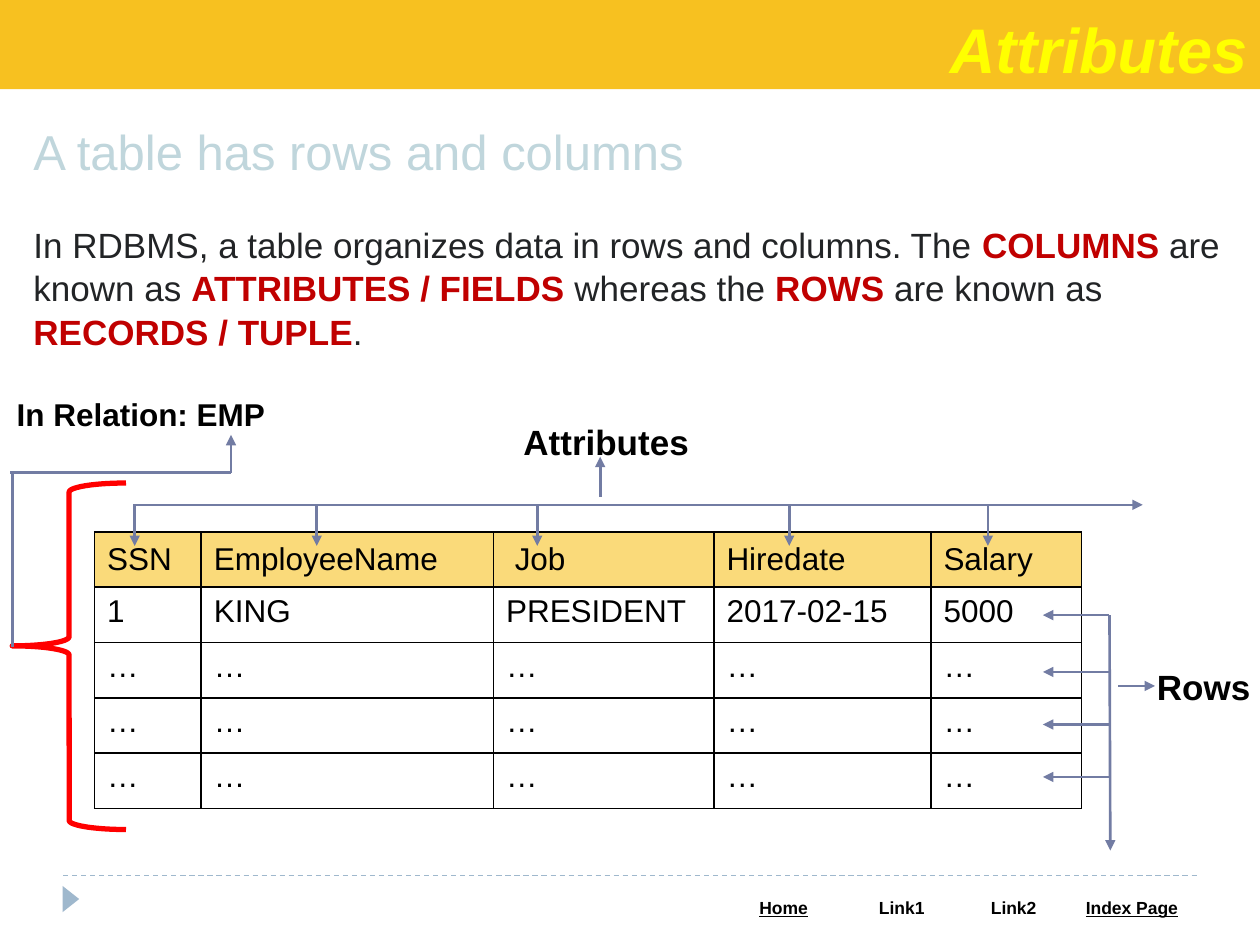
from pptx import Presentation
from pptx.util import Pt
from pptx.dml.color import RGBColor
from pptx.enum.dml import MSO_LINE
from pptx.enum.shapes import MSO_CONNECTOR, MSO_SHAPE
from pptx.enum.text import MSO_ANCHOR, PP_ALIGN
from pptx.oxml.ns import qn
from lxml.etree import SubElement


def tint(code):
    return RGBColor.from_string(code)


def style(font, code, **vals):
    font.color.rgb = tint(code)
    for key, val in {"name": "Arial", **vals}.items():
        setattr(font, key, val)


deck = Presentation()
deck.slide_width, deck.slide_height = Pt(720), Pt(540)
slide = deck.slides.add_slide(deck.slide_layouts[5])
shapes = slide.shapes

# Banner, footer marker and brace
forms = [
    (MSO_SHAPE.RECTANGLE, (0, 0, 720, 51), "F7C120", None),
    (MSO_SHAPE.ISOSCELES_TRIANGLE, (33, 509, 15, 9.5), "9FB8CD", None),
    (MSO_SHAPE.LEFT_BRACE, (7, 276, 65, 198), None, "FF0000"),
]
made = []
for kind, box, fill, line in forms:
    form = shapes.add_shape(kind, *map(Pt, box))
    form.shadow.inherit = False
    if fill:
        form.fill.solid()
        form.fill.fore_color.rgb = tint(fill)
    else:
        form.fill.background()
    if line:
        form.line.color.rgb = tint(line)
        form.line.width = Pt(3)
    else:
        form.line.fill.background()
    made.append(form)
banner, marker, brace = made
marker.rotation = 90
brace.adjustments[0], brace.adjustments[1] = 0.08, 0.47

# Title, moved in front of the banner
title = shapes.title
banner.element.addnext(title.element)
title.left, title.top, title.width, title.height = map(Pt, (0, 2, 720, 51))
title.text_frame.text = "Attributes"
title.text_frame.vertical_anchor = MSO_ANCHOR.MIDDLE
head = title.text_frame.paragraphs[0]
head.alignment = PP_ALIGN.RIGHT
style(head.font, "FFFF00", size=Pt(36), bold=True, italic=True)

# Text boxes: place, size, wrap, runs of (text, colour, bold)
dark, red, black = "222426", "C00000", "000000"
notes = [
    ((12, 66, 696, 41), 28, True, [("A table has rows and columns", "C0D6DC", False)]),
    ((12, 123, 696, 80), 20, True, [
        ("In RDBMS, a table organizes data in rows and columns. The ", dark, False),
        ("COLUMNS ", red, True), ("are known as ", dark, False),
        ("ATTRIBUTES / FIELDS ", red, True), ("whereas the ", dark, False),
        ("ROWS ", red, True), ("are known as ", dark, False),
        ("RECORDS / TUPLE", red, True), (".", dark, False)]),
    ((292, 237, 110, 32), 20, False, [("Attributes", black, True)]),
    ((654, 377, 68, 32), 20, True, [("Rows", black, True)]),
    ((2.5, 222, 158, 29), 18, False, [("In Relation: EMP", black, True)]),
]
for box, size, wrap, runs in notes:
    frame = shapes.add_textbox(*map(Pt, box)).text_frame
    frame.word_wrap = wrap
    para = frame.paragraphs[0]
    if len(runs) > 1:
        para.line_spacing = 1.04
    for text, code, bold in runs:
        run = para.add_run()
        run.text = text
        style(run.font, code, size=Pt(size), bold=bold)

# Employee table
rows = [["SSN", "EmployeeName", " Job", "Hiredate", "Salary"],
        ["1", "KING", "PRESIDENT", "2017-02-15", "5000"]] + [["…"] * 5] * 3
grid = shapes.add_table(5, 5, Pt(54), Pt(304), Pt(564), Pt(158)).table
for col, wide in zip(grid.columns, (61, 167, 126, 124, 86)):
    col.width = Pt(wide)
for r, row in enumerate(rows):
    grid.rows[r].height = Pt(31.6)
    for c, text in enumerate(row):
        cell = grid.cell(r, c)
        cell.text = text
        style(cell.text_frame.paragraphs[0].font, black, size=Pt(18), bold=False)
        props = cell._tc.get_or_add_tcPr()
        for side in ("lnL", "lnR", "lnT", "lnB"):
            edge = SubElement(props, qn("a:" + side), w="12700")
            paint = SubElement(edge, qn("a:solidFill"))
            SubElement(paint, qn("a:srgbClr"), val=black)
        if r == 0:
            cell.vertical_anchor = MSO_ANCHOR.MIDDLE
            cell.fill.solid()
            cell.fill.fore_color.rgb = tint("FADA7A")
        else:
            cell.fill.background()

# Footer links
links = [("Home", 67.5, True), ("Link1", 67.5, False),
         ("Link2", 60.5, False), ("Index Page", 74.5, True)]
menu = shapes.add_table(1, 4, Pt(414), Pt(510), Pt(270), Pt(19)).table
menu.rows[0].height = Pt(19)
for c, (text, wide, under) in enumerate(links):
    menu.columns[c].width = Pt(wide)
    cell = menu.cell(0, c)
    cell.text = text
    cell.fill.solid()
    cell.fill.fore_color.rgb = tint("FFFFFF")
    para = cell.text_frame.paragraphs[0]
    para.alignment = PP_ALIGN.CENTER
    style(para.font, black, size=Pt(10), bold=True, underline=under)

# Lines: ends, arrowhead
lines = [((x, 288, x, 312), True) for x in (77, 181, 307, 451, 564.5)]
lines += [((634, y, 596, y), True) for y in (351.5, 384, 414, 444)]
lines += [
    ((77, 288.5, 653, 288.5), True),   # attribute bar
    ((343, 284, 343, 261), True),      # up to Attributes
    ((634, 351.5, 634.5, 486), True),  # row bar
    ((639, 392, 660, 392), True),      # out to Rows
    ((7, 370, 7, 269.5), False),       # brace up to relation
    ((132, 270, 6, 270), False),
    ((132, 270.5, 132, 248.5), True),
    ((36, 500.5, 684, 500.5), None),   # footer rule
]
for ends, arrow in lines:
    link = shapes.add_connector(MSO_CONNECTOR.STRAIGHT, *map(Pt, ends))
    SubElement(link._element.spPr, qn("a:effectLst"))
    rule = arrow is None
    link.line.color.rgb = tint("9FB8CD" if rule else "727CA3")
    link.line.width = Pt(0.75 if rule else 1.5)
    if rule:
        link.line.dash_style = MSO_LINE.DASH
    if arrow:
        SubElement(link.line._get_or_add_ln(), qn("a:tailEnd"), type="triangle")

deck.save("out.pptx")
